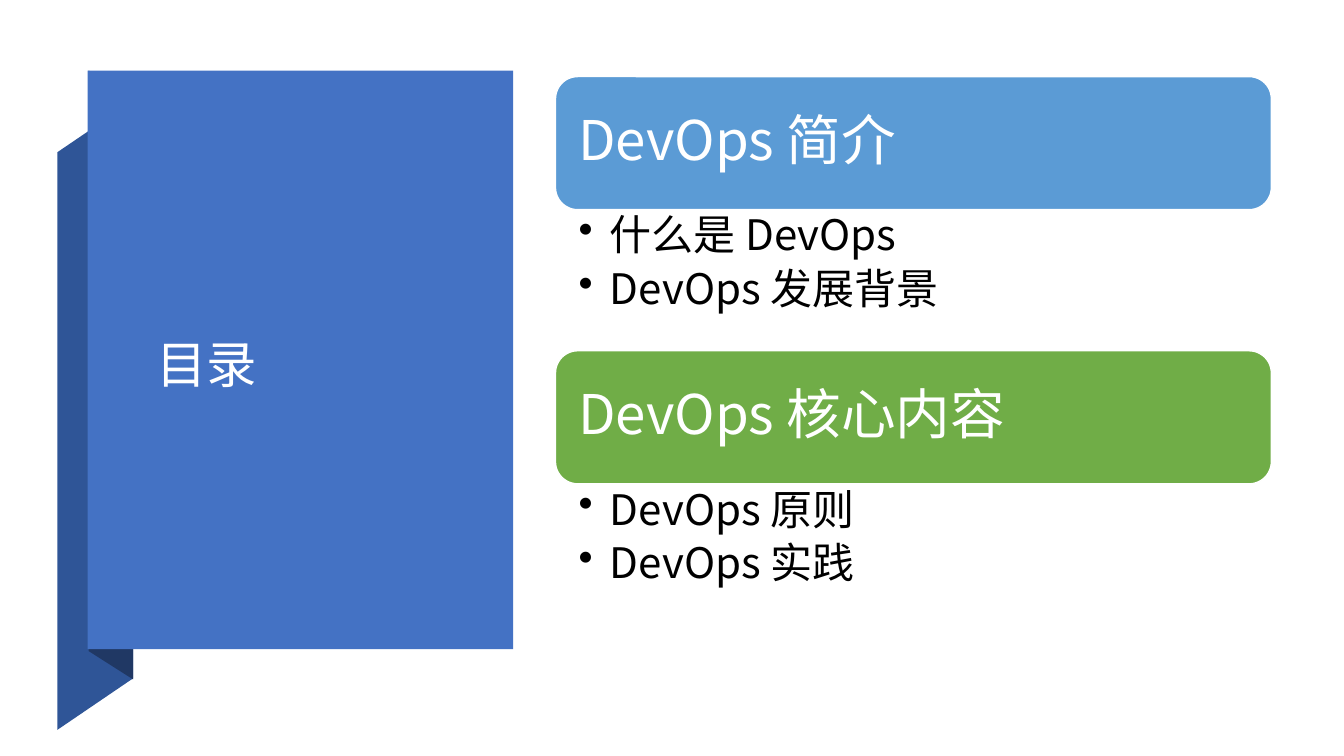
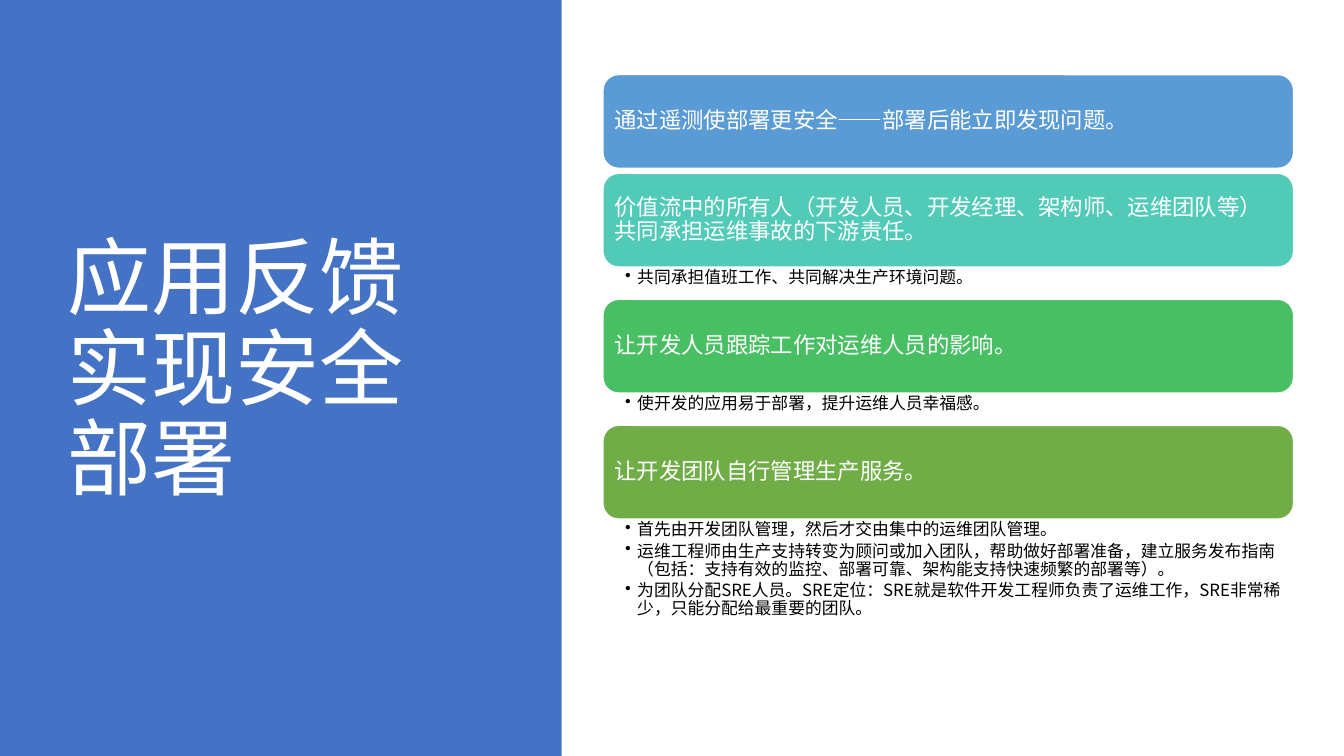
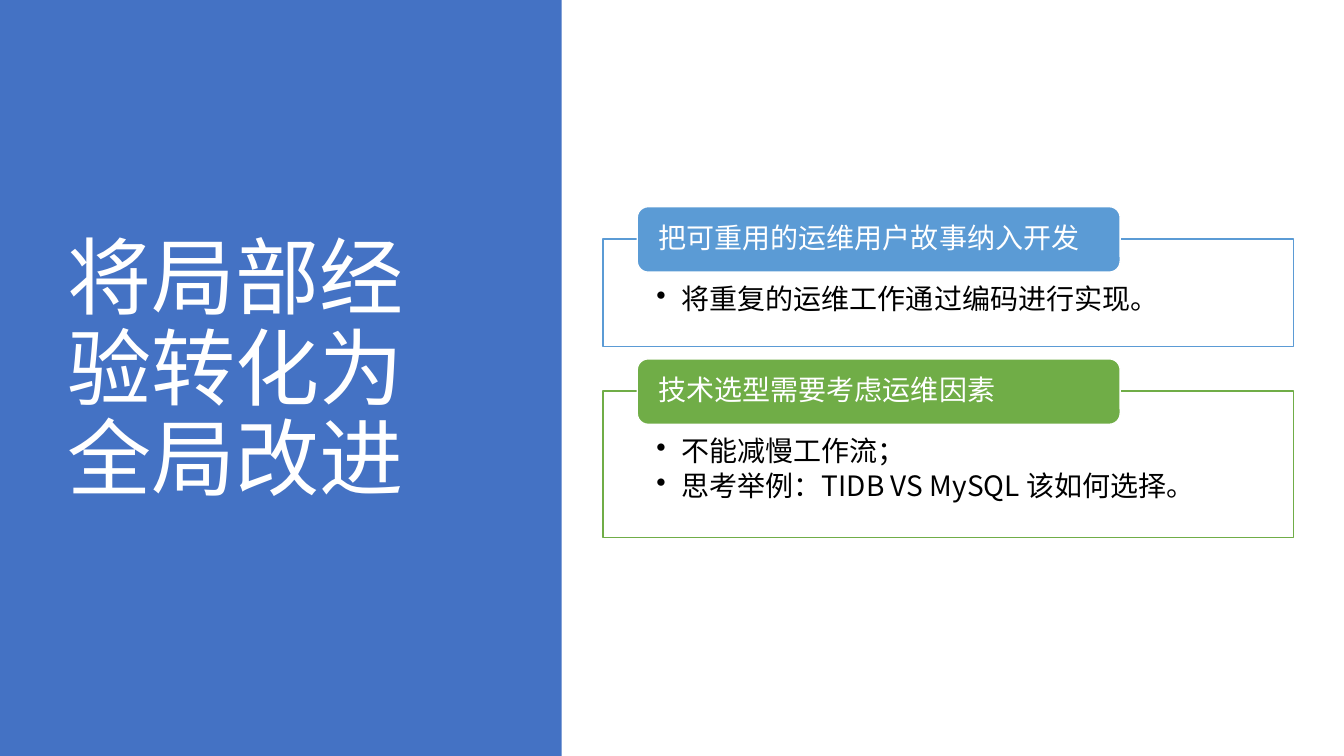
from dataclasses import dataclass

from lxml import etree
from pptx import Presentation
from pptx.dml.color import RGBColor
from pptx.enum.lang import MSO_LANGUAGE_ID
from pptx.enum.shapes import MSO_SHAPE
from pptx.enum.text import MSO_ANCHOR, MSO_AUTO_SIZE, PP_ALIGN
from pptx.oxml.ns import qn
from pptx.util import Inches, Pt

RECTANGLE, ROUNDED = MSO_SHAPE.RECTANGLE, MSO_SHAPE.ROUNDED_RECTANGLE
TOP, MIDDLE = MSO_ANCHOR.TOP, MSO_ANCHOR.MIDDLE
LEFT = PP_ALIGN.LEFT
CHINESE = MSO_LANGUAGE_ID.SIMPLIFIED_CHINESE
NO_FIT = MSO_AUTO_SIZE.NONE
TITLE_ONLY = 5


@dataclass(frozen=True)
class Theme:
    font: str = "Noto Sans CJK SC"
    white: str = "FFFFFF"
    black: str = "000000"
    panel: str = "4472C4"
    ribbon: str = "2F5597"
    fold: str = "203864"
    blue: str = "5B9BD5"
    teal: str = "52CAB8"
    emerald: str = "49BF64"
    green: str = "70AD47"
    agenda_title: int = 36
    title: int = 60
    agenda_header: int = 39
    agenda_bullet: int = 30
    practice_header: int = 16
    practice_bullet: int = 12
    card: int = 20


THEME = Theme()


def add_box(slide, kind, bounds, fill, line=None):
    """Add a flat shape; bounds are left, top, width, height in inches."""
    shape = slide.shapes.add_shape(kind, *map(Inches, bounds))
    shape.shadow.inherit = False
    shape.fill.solid()
    shape.fill.fore_color.rgb = RGBColor.from_string(fill)
    if line:
        shape.line.color.rgb = RGBColor.from_string(line)
        shape.line.width = Pt(1)
    else:
        shape.line.fill.background()
    return shape


def write(shape, texts, size, color, insets, anchor=MIDDLE, indent=0, after=0):
    """Fill a shape with paragraphs; an indent in inches makes them bullets."""
    frame = shape.text_frame
    sides = ("margin_left", "margin_top", "margin_right", "margin_bottom")
    frame_format = dict(zip(sides, map(Inches, insets)))
    frame_format.update(word_wrap=True, auto_size=NO_FIT, vertical_anchor=anchor)
    for name, value in frame_format.items():
        setattr(frame, name, value)
    for index, text in enumerate(texts):
        paragraph = frame.add_paragraph() if index else frame.paragraphs[0]
        if indent:
            properties = paragraph._p.get_or_add_pPr()
            properties.set("marL", str(Inches(indent)))
            properties.set("indent", str(-Inches(indent)))
            etree.SubElement(properties, qn("a:buChar")).set("char", "•")
        paragraph_format = {
            "level": 1 if indent else 0,
            "alignment": LEFT,
            "line_spacing": 0.9,
            "space_before": Pt(0),
            "space_after": Pt(after),
        }
        for name, value in paragraph_format.items():
            setattr(paragraph, name, value)
        run = paragraph.add_run()
        run.text = text
        run_format = {"name": THEME.font, "size": Pt(size), "language_id": CHINESE}
        for name, value in run_format.items():
            setattr(run.font, name, value)
        run.font.color.rgb = RGBColor.from_string(color)
        east_asian = etree.SubElement(run._r.get_or_add_rPr(), qn("a:ea"))
        east_asian.set("typeface", THEME.font)


presentation = Presentation()
presentation.slide_width, presentation.slide_height = Inches(13.33), Inches(7.5)
layout = presentation.slide_layouts[TITLE_ONLY]

# Side panel and title of every slide
full_panel = (0, 0, 5.57, 7.5)
full_title = (0.57, 0.68, 4.16, 6.02)
ribbon_points = [(0.57, 7.24), (1.32, 6.73), (1.32, 1), (0.57, 1.51)]
fold_points = [(0.88, 6.46), (1.32, 6.74), (1.32, 0.99), (0.88, 0.7)]
ribbon_parts = [(THEME.ribbon, ribbon_points), (THEME.fold, fold_points)]
side_panels = [
    ("目录", THEME.agenda_title, (0.87, 0.7, 4.22, 5.74), (1.45, 1.67, 3.01, 3.94), ribbon_parts),
    ("应用反馈实现安全部署", THEME.title, full_panel, full_title, []),
    ("将局部经验转化为全局改进", THEME.title, full_panel, full_title, []),
]
slides = []
for text, size, panel_bounds, title_bounds, parts in side_panels:
    slide = presentation.slides.add_slide(layout)
    for color, points in parts:
        corners = [(Inches(x), Inches(y)) for x, y in points]
        builder = slide.shapes.build_freeform(*corners[0])
        builder.add_line_segments(corners[1:], close=True)
        part = builder.convert_to_shape()
        part.shadow.inherit = False
        part.fill.solid()
        part.fill.fore_color.rgb = RGBColor.from_string(color)
        part.line.fill.background()
    add_box(slide, RECTANGLE, panel_bounds, THEME.panel)
    title = slide.shapes.title
    title.left, title.top, title.width, title.height = map(Inches, title_bounds)
    slide.shapes._spTree.append(title._element)
    write(title, [text], size, THEME.white, (0.1, 0.05, 0.1, 0.05))
    slides.append(slide)
agenda_slide, practice_slide, improvement_slide = slides

# Stacked headers with bullets below: (header, colour, bullets, height below)
agenda = [
    ("DevOps 简介", THEME.blue, ["什么是 DevOps", "DevOps 发展背景"], 1.4),
    ("DevOps 核心内容", THEME.green, ["DevOps 原则", "DevOps 实践"], 1.59),
]
practices = [
    ("通过遥测使部署更安全——部署后能立即发现问题。", THEME.blue, [], 0.05),
    ("价值流中的所有人（开发人员、开发经理、架构师、运维团队等）共同承担运维事故的下游责任。",
     THEME.teal, ["共同承担值班工作、共同解决生产环境问题。"], 0.32),
    ("让开发人员跟踪工作对运维人员的影响。", THEME.emerald,
     ["使开发的应用易于部署，提升运维人员幸福感。"], 0.32),
    ("让开发团队自行管理生产服务。", THEME.green, [
        "首先由开发团队管理，然后才交由集中的运维团队管理。",
        "运维工程师由生产支持转变为顾问或加入团队，帮助做好部署准备，建立服务发布指南"
        "（包括：支持有效的监控、部署可靠、架构能支持快速频繁的部署等）。",
        "为团队分配SRE人员。SRE定位：SRE就是软件开发工程师负责了运维工作，"
        "SRE非常稀少，只能分配给最重要的团队。",
    ], 1.49),
]
agenda_style = {
    "left": 5.51, "top": 0.76, "width": 7.1, "header": 1.32, "inset": 0.16,
    "sizes": (THEME.agenda_header, THEME.agenda_bullet),
    "bullet_insets": (0.23, 0.05, 0.3, 0.05), "indent": 0.31,
}
practice_style = {
    "left": 5.98, "top": 0.74, "width": 6.85, "header": 0.93, "inset": 0.07,
    "sizes": (THEME.practice_header, THEME.practice_bullet),
    "bullet_insets": (0.22, 0.02, 0.12, 0.02), "indent": 0.12,
}
stacks = [(agenda_slide, agenda, agenda_style), (practice_slide, practices, practice_style)]
for slide, sections, style in stacks:
    left, top, width = style["left"], style["top"], style["width"]
    header_size, bullet_size = style["sizes"]
    for heading, color, bullets, height_below in sections:
        header = add_box(slide, ROUNDED, (left, top, width, style["header"]), color, THEME.white)
        write(header, [heading], header_size, THEME.white, [style["inset"]] * 4)
        top += style["header"]
        if bullets:
            bounds = (left, top, width, height_below)
            bullet_box = slide.shapes.add_textbox(*map(Inches, bounds))
            write(bullet_box, bullets, bullet_size, THEME.black, style["bullet_insets"],
                  TOP, style["indent"], after=0.2 * bullet_size)
        top += height_below

# Outlined cards with a header tab over the top edge
cards = [
    ("把可重用的运维用户故事纳入开发", THEME.blue, ["将重复的运维工作通过编码进行实现。"], 1.07),
    ("技术选型需要考虑运维因素", THEME.green,
     ["不能减慢工作流；", "思考举例：TIDB VS MySQL 该如何选择。"], 1.45),
]
card_top, card_gap, tab_rise = 2.37, 0.44, 0.32
for heading, color, bullets, height in cards:
    card = add_box(improvement_slide, RECTANGLE, (5.98, card_top, 6.85, height), THEME.white, color)
    card_color = card._element.spPr.find(qn("a:solidFill"))[0]
    etree.SubElement(card_color, qn("a:alpha")).set("val", "90000")
    write(card, bullets, THEME.card, THEME.black, (0.53, 0.46, 0.53, 0.16),
          TOP, 0.25, after=0.15 * THEME.card)
    tab_bounds = (6.32, card_top - tab_rise, 4.79, 0.65)
    tab = add_box(improvement_slide, ROUNDED, tab_bounds, color, THEME.white)
    write(tab, [heading], THEME.card, THEME.white, (0.18, 0, 0.18, 0))
    card_top += height + card_gap

presentation.save("out.pptx")
